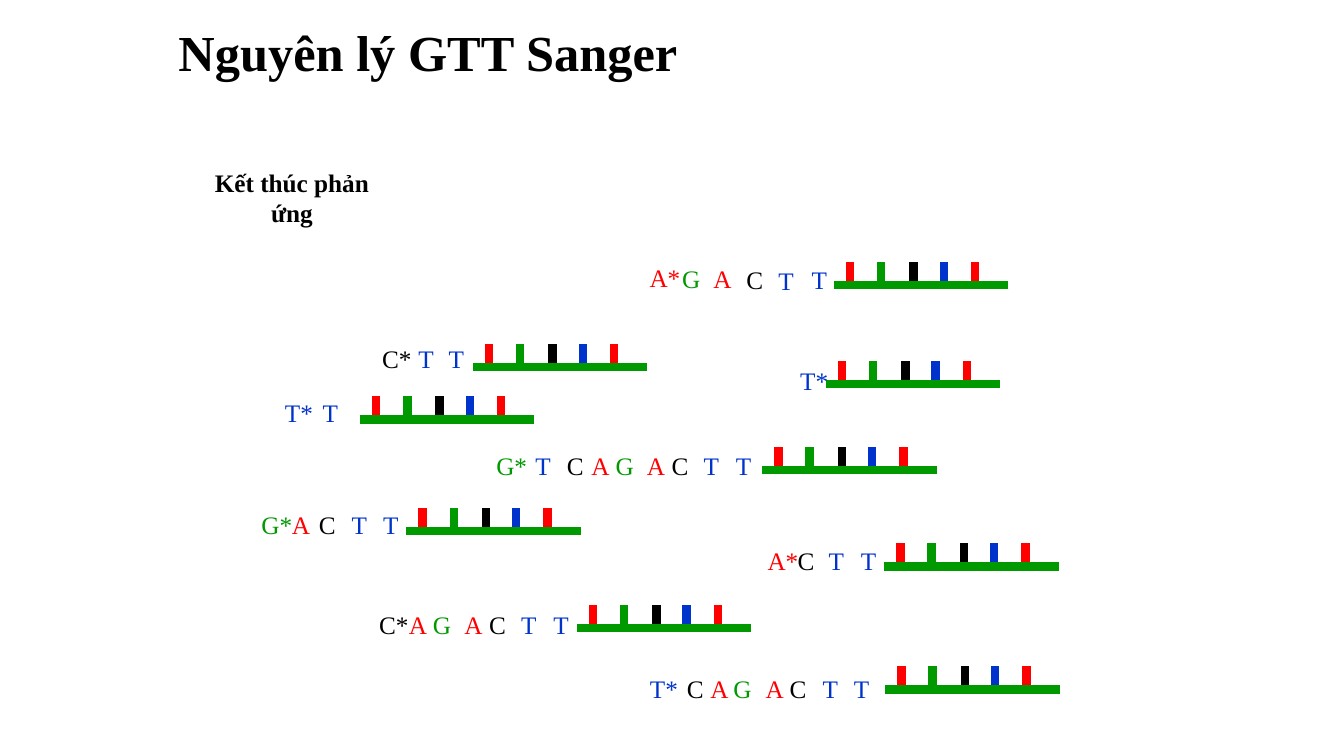
from lxml import etree
from pptx import Presentation
from pptx import util as u
from pptx.dml.color import RGBColor
from pptx.enum import shapes, text
from pptx.oxml.ns import qn

PX = u.Inches(1) // 100
FONT = "Times New Roman"
COLOURS = {"black": "000000", "red": "FF0000", "green": "009900", "blue": "0033CC"}
BASE_COLOURS = {"A": "red", "C": "black", "G": "green", "T": "blue"}

PRIMER_WIDTH, TICK_HEIGHT = 173, 23
PRIMER_TICKS = [(16, "red"), (47, "green"), (79, "black"), (109, "blue"), (140, "red")]
LABEL_WIDTH, LABEL_HEIGHT = 31, 47

FRAGMENTS = [
    {"primer": (827, 283), "top": 252,
     "bases": [("A*", 644), ("G", 670, 1), ("A", 701, 1), ("C", 733, 2), ("T", 764, 3), ("T", 797, 2)]},
    {"primer": (469, 364), "top": 332,
     "bases": [("C*", 378), ("T", 407), ("T", 437)]},
    {"primer": (819, 381), "top": 354,
     "bases": [("T*", 792)]},
    {"primer": (756, 466), "top": 438,
     "bases": [("G*", 492), ("T", 523), ("C", 555), ("A", 580), ("G", 604),
               ("A", 635), ("C", 659), ("T", 690), ("T", 722)]},
    {"primer": (357, 416), "top": 386,
     "bases": [("T*", 281), ("T", 312)]},
    {"primer": (403, 527), "top": 497,
     "bases": [("G*", 259), ("A", 283), ("C", 309), ("T", 341), ("T", 372)]},
    {"primer": (877, 562), "top": 533,
     "bases": [("A*", 761), ("C", 784), ("T", 814), ("T", 846)]},
    {"primer": (572, 623), "top": 596,
     "bases": [("C*", 375), ("A", 399), ("G", 423), ("A", 454), ("C", 478), ("T", 509), ("T", 541)]},
    {"primer": (878, 684), "top": 659,
     "bases": [("T*", 643), ("C", 674), ("A", 698), ("G", 721), ("A", 753),
               ("C", 776), ("T", 808), ("T", 839)]},
]


def apply(target, values):
    for name, value in values.items():
        setattr(target, name, value)


def scaled(*lengths):
    return [length * PX for length in lengths]


def write(shape, words, size, colour="black", bold=False, align=text.PP_ALIGN.CENTER,
          wrap=True, inset=10):
    frame = shape.text_frame
    apply(frame, {
        "word_wrap": wrap, "auto_size": text.MSO_AUTO_SIZE.NONE,
        "vertical_anchor": text.MSO_ANCHOR.MIDDLE,
        "margin_left": inset * PX, "margin_right": inset * PX,
        "margin_top": 5 * PX, "margin_bottom": 5 * PX,
    })
    para = frame.paragraphs[0]
    para.alignment = align
    span = para.add_run()
    span.text = words
    apply(span.font, {"name": FONT, "size": u.Pt(size), "bold": bold})
    span.font.color.rgb = RGBColor.from_string(COLOURS[colour])
    return para


def add_title(page, box):
    title = page.shapes.title
    apply(title, dict(zip(("left", "top", "width", "height"), scaled(*box))))
    para = write(title, "Nguyên lý GTT Sanger", 36, bold=True, align=text.PP_ALIGN.LEFT)
    para.line_spacing = 0.9


def add_caption(page, box):
    caption = page.shapes.add_textbox(*scaled(*box))
    write(caption, "Kết thúc phản ứng", 18, bold=True)


def add_bar(group, start, end, colour):
    bar = group.shapes.add_connector(shapes.MSO_CONNECTOR.STRAIGHT, *scaled(*start, *end))
    bar.line.width = u.Pt(6)
    bar.line.color.rgb = RGBColor.from_string(COLOURS[colour])
    etree.SubElement(bar._element.spPr, qn("a:effectLst"))


def add_primer(page, left, baseline):
    group = page.shapes.add_group_shape()
    for offset, colour in PRIMER_TICKS:
        tick = left + offset
        add_bar(group, (tick, baseline), (tick, baseline - TICK_HEIGHT), colour)
    add_bar(group, (left + PRIMER_WIDTH, baseline), (left, baseline), "green")


def add_base(page, top, base, left, drop=0):
    label = page.shapes.add_textbox(*scaled(left, top + drop, LABEL_WIDTH, LABEL_HEIGHT))
    write(label, base, 18, BASE_COLOURS[base[0]], wrap=False, inset=0)


def add_fragment(page, fragment):
    add_primer(page, *fragment["primer"])
    for base in fragment["bases"]:
        add_base(page, fragment["top"], *base)


def main():
    deck = Presentation()
    apply(deck, {"slide_width": 1333 * PX, "slide_height": 750 * PX})
    page = deck.slides.add_slide(deck.slide_layouts[5])
    add_caption(page, (187, 171, 205, 50))
    add_title(page, (167, 9, 862, 92))
    for fragment in FRAGMENTS:
        add_fragment(page, fragment)
    deck.save("out.pptx")


if __name__ == "__main__":
    main()
